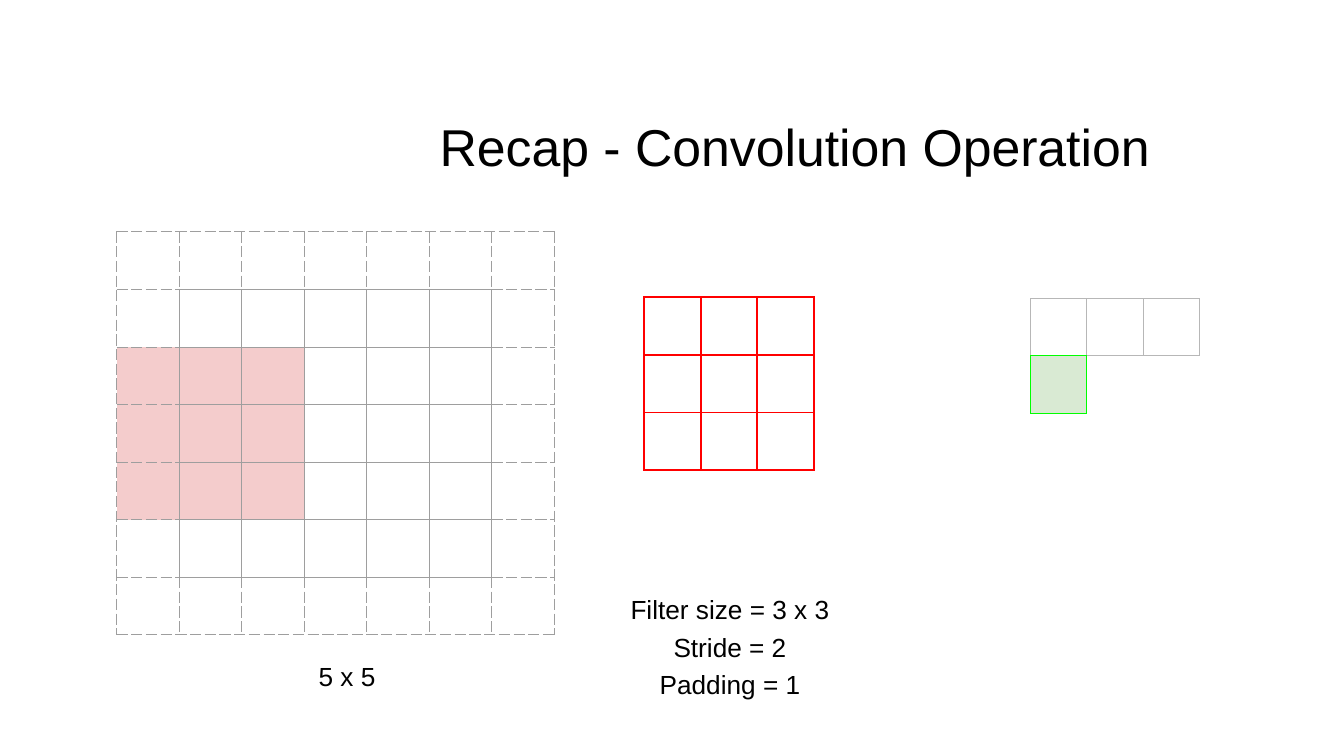
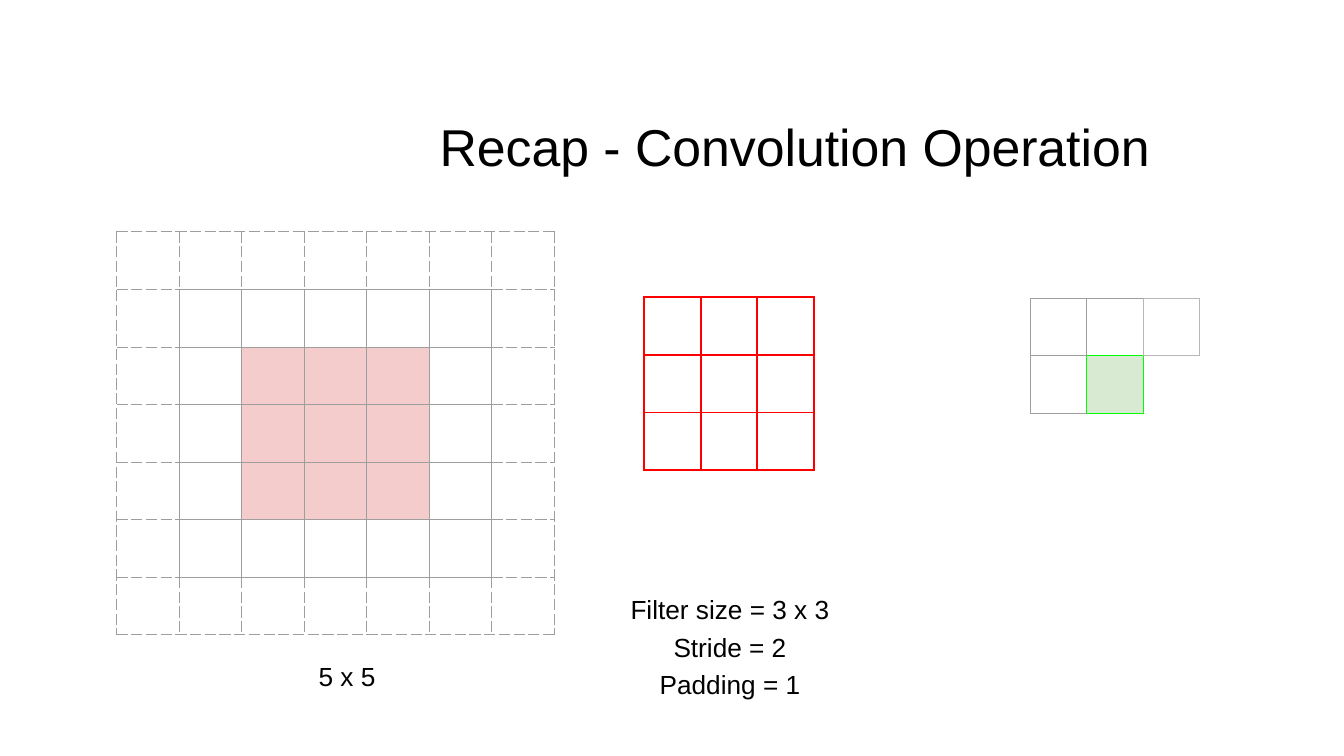
from dataclasses import dataclass
from typing import Callable

from lxml import etree
from pptx import Presentation
from pptx.dml.color import RGBColor
from pptx.enum.shapes import MSO_CONNECTOR, MSO_SHAPE
from pptx.enum.text import MSO_ANCHOR, MSO_AUTO_SIZE, PP_ALIGN
from pptx.oxml.ns import qn
from pptx.util import Inches, Pt

STRAIGHT, RECTANGLE = MSO_CONNECTOR.STRAIGHT, MSO_SHAPE.RECTANGLE
LEFT, CENTER = PP_ALIGN.LEFT, PP_ALIGN.CENTER
TOP, MIDDLE = MSO_ANCHOR.TOP, MSO_ANCHOR.MIDDLE
FIT_SHAPE = MSO_AUTO_SIZE.SHAPE_TO_FIT_TEXT

BLACK = RGBColor(0x00, 0x00, 0x00)
GREY = RGBColor(0x9E, 0x9E, 0x9E)
LIGHT_GREY = RGBColor(0xB7, 0xB7, 0xB7)
RED = RGBColor(0xFF, 0x00, 0x00)
PINK = RGBColor(0xF4, 0xCC, 0xCC)
GREEN = RGBColor(0x00, 0xFF, 0x00)
PALE_GREEN = RGBColor(0xD9, 0xEA, 0xD3)

SLIDE_W, SLIDE_H = 13.33, 7.5
FONT = "Arial"
TITLE = "Recap - Convolution Operation"
INPUT_SIZE = 5
PADDING = 1
KERNEL = 3
STRIDE = 2
ROW_H = 4 / 7

Position = tuple[int, int]  # row, column
EdgeRule = Callable[[int, int], bool]


@dataclass(frozen=True)
class Grid:
    left: float
    top: float
    size: int
    cell_w: float
    line: RGBColor
    weight: float

    def x(self, col: int) -> Inches:
        return Inches(self.left + col * self.cell_w)

    def y(self, row: int) -> Inches:
        return Inches(self.top + row * ROW_H)


@dataclass(frozen=True)
class Step:
    active: Position
    settled: tuple[Position, ...]  # outputs outlined in the darker grey
    pending: tuple[Position, ...]  # outputs outlined in the lighter grey


INPUT = Grid(1.16, 2.3, INPUT_SIZE + 2 * PADDING, 0.62, GREY, 0.75)
FILTER = Grid(6.39, 2.95, KERNEL, 0.56, RED, 1.5)
OUTPUT = Grid(10.22, 2.96, 3, 0.56, LIGHT_GREY, 0.75)

STEPS = (
    Step((1, 0), (), ((0, 0), (0, 1), (0, 2))),
    Step((1, 1), ((0, 0), (0, 1), (1, 0)), ((0, 2),)),
)


# Text
def write(shape, lines: list[str], size: float, align=LEFT, anchor=TOP,
          indent: float = 0, spacing: float = 1) -> None:
    tf = shape.text_frame
    frame_format = dict(
        word_wrap=True, auto_size=FIT_SHAPE, vertical_anchor=anchor,
        margin_left=Inches(indent), margin_top=Inches(0.02),
        margin_right=0, margin_bottom=0)
    for name, value in frame_format.items():
        setattr(tf, name, value)
    for i, line in enumerate(lines):
        p = tf.paragraphs[0] if i == 0 else tf.add_paragraph()
        p.alignment, p.line_spacing = align, spacing
        r = p.add_run()
        r.text = line
        r.font.name, r.font.size = FONT, Pt(size)
        r.font.color.rgb = BLACK


def add_text(s, box: tuple[float, ...], lines: list[str], **layout) -> None:
    write(s.shapes.add_textbox(*map(Inches, box)), lines, 18.7, **layout)


# Tables
def add_border(cell, side: str, color: RGBColor, weight: float,
               dashed: bool) -> None:
    ln = etree.SubElement(cell._tc.get_or_add_tcPr(), qn(f"a:ln{side}"),
                          w=str(Pt(weight)))
    fill = etree.SubElement(ln, qn("a:solidFill"))
    etree.SubElement(fill, qn("a:srgbClr"), val=str(color))
    etree.SubElement(ln, qn("a:prstDash"), val="dash" if dashed else "solid")


def in_input(index: int, extra: int = 0) -> bool:
    return PADDING <= index < PADDING + INPUT_SIZE + extra


def padding_vertical(row: int, edge: int) -> bool:
    return not (in_input(row) and in_input(edge, 1))


def padding_horizontal(edge: int, col: int) -> bool:
    return not (in_input(edge, 1) and in_input(col))


def solid(_row: int, _col: int) -> bool:
    return False


def add_grid(s, grid: Grid, window: Position | None = None,
             dash_v: EdgeRule = solid, dash_h: EdgeRule = solid) -> None:
    n = grid.size
    table = s.shapes.add_table(
        n, n, grid.x(0), grid.y(0),
        Inches(n * grid.cell_w), Inches(n * ROW_H)).table
    table.first_row = table.horz_banding = False
    for i in range(n):
        table.columns[i].width = Inches(grid.cell_w)
        table.rows[i].height = Inches(ROW_H)
    for k in range(n * n):
        row, col = divmod(k, n)
        cell = table.cell(row, col)
        sides = {"L": dash_v(row, col), "R": dash_v(row, col + 1),
                 "T": dash_h(row, col), "B": dash_h(row + 1, col)}
        for side, dashed in sides.items():
            add_border(cell, side, grid.line, grid.weight, dashed)
        if window and all(0 <= at - start < KERNEL
                          for at, start in zip((row, col), window)):
            cell.fill.solid()
            cell.fill.fore_color.rgb = PINK
        else:
            cell.fill.background()


# Output cells: later cells recolour the edges they share
def add_output(s, step: Step) -> None:
    row, col = step.active
    box = s.shapes.add_shape(RECTANGLE, OUTPUT.x(col), OUTPUT.y(row),
                             Inches(OUTPUT.cell_w), Inches(ROW_H))
    box.shadow.inherit = False
    box.fill.solid()
    box.fill.fore_color.rgb = PALE_GREEN
    box.line.fill.background()

    edges: dict[tuple[int, int, int, int], RGBColor] = {}
    for cells, color in ((step.settled, GREY), (step.pending, LIGHT_GREY),
                         ((step.active,), GREEN)):
        for row, col in cells:
            for i in (0, 1):
                edges[col + i, row, col + i, row + 1] = color
                edges[col, row + i, col + 1, row + i] = color
    for (x1, y1, x2, y2), color in edges.items():
        line = s.shapes.add_connector(STRAIGHT, OUTPUT.x(x1), OUTPUT.y(y1),
                                      OUTPUT.x(x2), OUTPUT.y(y2))
        line.line.color.rgb = color
        line.line.width = Pt(OUTPUT.weight)
        etree.SubElement(line._element.spPr, qn("a:effectLst"))


def add_step(prs, step: Step) -> None:
    s = prs.slides.add_slide(prs.slide_layouts[5])
    title = s.shapes.title
    title.left, title.top = Inches(1.22), Inches(1.12)
    title.width, title.height = Inches(SLIDE_W - 1.22), Inches(0.64)
    write(title, [TITLE], 37, anchor=MIDDLE, indent=3.14)

    add_output(s, step)
    row, col = step.active
    add_grid(s, INPUT, (row * STRIDE, col * STRIDE),
             padding_vertical, padding_horizontal)
    add_grid(s, FILTER)
    add_text(s, (3.14, 6.53, 0.65, 0.33),
             [f"{INPUT_SIZE} x {INPUT_SIZE}"], indent=0.02)
    add_text(s, (6.24, 5.81, 2, 0.94),
             [f"Filter size = {KERNEL} x {KERNEL}", f"Stride = {STRIDE}",
              f"Padding = {PADDING}"], align=CENTER, spacing=1.19)


def main() -> None:
    prs = Presentation()
    prs.slide_width, prs.slide_height = Inches(SLIDE_W), Inches(SLIDE_H)
    for step in STEPS:
        add_step(prs, step)
    prs.save("out.pptx")


if __name__ == "__main__":
    main()
